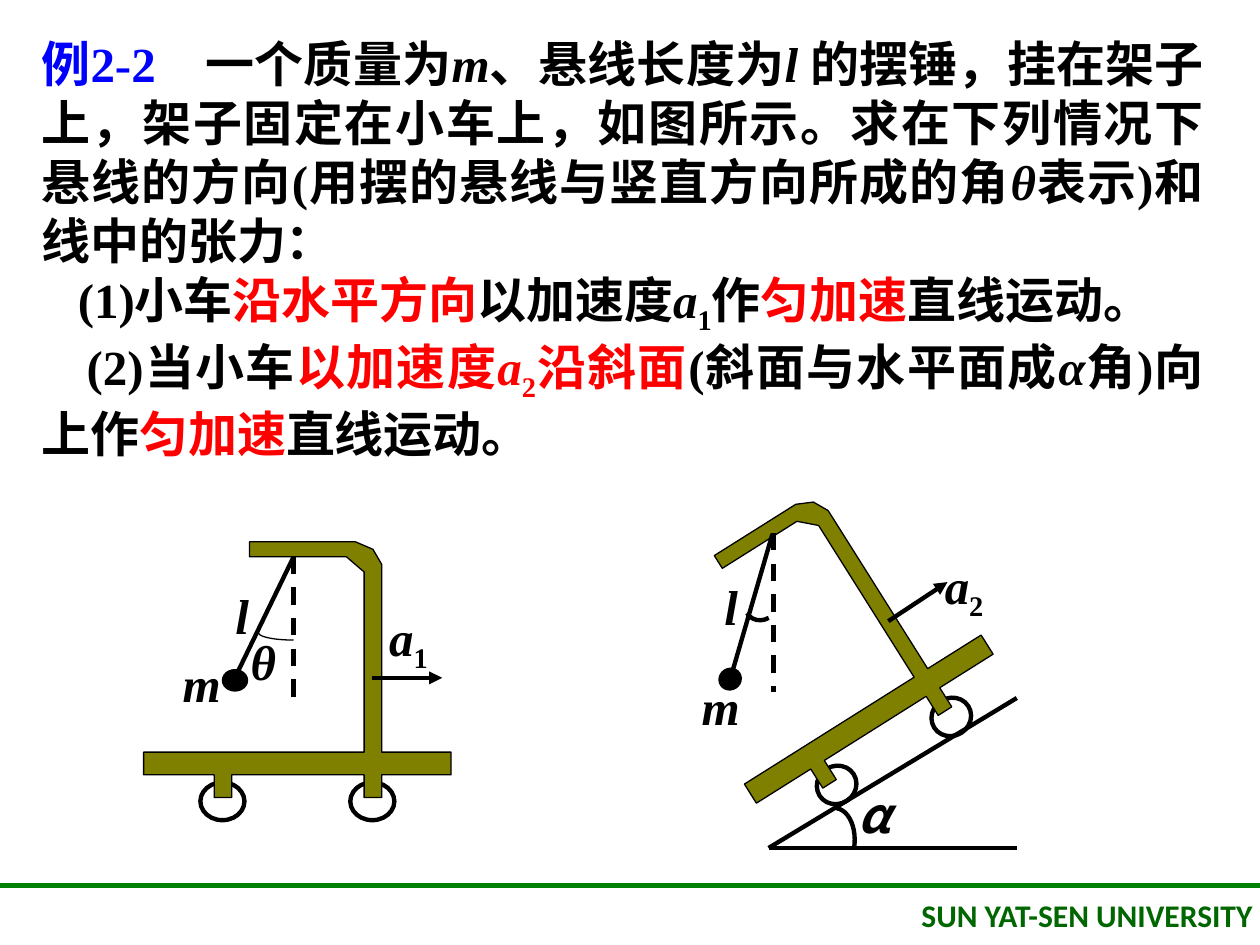
from dataclasses import dataclass

from lxml import etree
from pptx import Presentation
from pptx.dml.color import RGBColor
from pptx.enum.dml import MSO_LINE
from pptx.enum.shapes import MSO_CONNECTOR, MSO_SHAPE
from pptx.enum.text import MSO_AUTO_SIZE, PP_ALIGN
from pptx.oxml.ns import qn
from pptx.util import Inches, Pt

STRAIGHT = MSO_CONNECTOR.STRAIGHT
OVAL, ARC = MSO_SHAPE.OVAL, MSO_SHAPE.ARC
DASH = MSO_LINE.DASH
FIT = MSO_AUTO_SIZE.SHAPE_TO_FIT_TEXT
LEFT, RIGHT, JUSTIFY = PP_ALIGN.LEFT, PP_ALIGN.RIGHT, PP_ALIGN.JUSTIFY


@dataclass(frozen=True)
class Theme:
    black: str = "000000"
    blue: str = "0000FF"
    red: str = "FF0000"
    olive: str = "808000"
    rule: str = "008000"
    footer: str = "006600"
    serif: str = "Times New Roman"
    sans: str = "Calibri"
    chinese: str = "Noto Sans CJK SC"
    body_size: float = 28
    footer_size: float = 18
    thin: float = 0.75
    thick: float = 2.5
    rule_width: float = 3


THEME = Theme()
ITALIC = {"italic": True}
SUBSCRIPT = {"baseline": -25}
RED = {"color": THEME.red}
TILT = -32.2

PROBLEM = [
    (("例2-2", {"color": THEME.blue}), ("\t一个质量为", {}), ("m", ITALIC),
     ("、悬线长度为", {}), ("l ", ITALIC),
     ("的摆锤，挂在架子上，架子固定在小车上，如图所示。"
      "求在下列情况下悬线的方向(用摆的悬线与竖直方向所成的角", {}),
     ("θ", ITALIC), ("表示)和线中的张力：", {})),
    (("(1)小车", {}), ("沿水平方向", RED), ("以加速度", {}), ("a", ITALIC),
     ("1", SUBSCRIPT), ("作", {}), ("匀加速", RED), ("直线运动。", {})),
    (("(2)当小车", {}), ("以加速度", RED), ("a", {**RED, **ITALIC}),
     ("2", {**RED, **SUBSCRIPT}), ("沿斜面", RED), ("(斜面与水平面成", {}),
     ("α", ITALIC), ("角)向上作", {}), ("匀加速", RED), ("直线运动。", {})),
]
PROBLEM_INDENTS = (0, 0.29, 0.36)
PROBLEM_TAB = 1.3

CART_UNIT = Inches(0.01)
CART = [
    (198, 430), (282, 430), (296, 436), (303, 448), (303, 597),
    (358, 597), (358, 615), (303, 615), (303, 633), (289, 633),
    (289, 615), (184, 615), (184, 633), (170, 633), (170, 615),
    (114, 615), (114, 597), (289, 597), (289, 454), (275, 442),
    (198, 442),
]


class SlideWriter:
    def __init__(self, page, theme):
        self.page = page
        self.theme = theme

    def stroke(self, line, width, color=None):
        line.color.rgb = RGBColor.from_string(color or self.theme.black)
        line.width = Pt(width)

    def line(self, start, end, color=None, width=None, dashed=False, arrow=False):
        link = self.page.shapes.add_connector(
            STRAIGHT, *(Inches(value) for value in start + end))
        self.stroke(link.line, width or self.theme.thick, color)
        if dashed:
            link.line.dash_style = DASH
        if arrow:
            outline = link.line._get_or_add_ln()
            etree.SubElement(outline, qn("a:tailEnd"), type="triangle")
        etree.SubElement(link._element.spPr, qn("a:effectLst"))

    def shape(self, kind, place, fill=None, outline=True, rotation=0):
        item = self.page.shapes.add_shape(kind, *map(Inches, place))
        item.shadow.inherit = False
        item.rotation = rotation
        if fill:
            item.fill.solid()
            item.fill.fore_color.rgb = RGBColor.from_string(fill)
        else:
            item.fill.background()
        if outline:
            self.stroke(item.line, self.theme.thick)
        else:
            item.line.fill.background()
        return item

    def arc(self, center, radii, start, end, width, rotation=0):
        (x, y), (across, down) = center, radii
        item = self.shape(ARC, (x - across, y - down, 2 * across, 2 * down),
                          rotation=rotation)
        for index, angle in enumerate((start, end)):
            item.adjustments[index] = angle * 0.6
        self.stroke(item.line, width)

    def cart(self, place, rotation=0):
        builder = self.page.shapes.build_freeform(*CART[0], scale=CART_UNIT)
        builder.add_line_segments(CART[1:], close=True)
        item = builder.convert_to_shape()
        item.left, item.top, item.width, item.height = map(Inches, place)
        item.rotation = rotation
        item.shadow.inherit = False
        item.fill.solid()
        item.fill.fore_color.rgb = RGBColor.from_string(self.theme.olive)
        self.stroke(item.line, self.theme.thin)

    def box(self, place, wrap=False):
        box = self.page.shapes.add_textbox(*map(Inches, place))
        box.text_frame.word_wrap = wrap
        box.text_frame.auto_size = FIT
        return box.text_frame

    def para(self, para, spans, align=LEFT, indent=0, tab=None):
        para.alignment = align
        properties = para._p.get_or_add_pPr()
        if indent:
            properties.set("indent", str(Inches(indent)))
        if tab:
            stops = etree.SubElement(properties, qn("a:tabLst"))
            etree.SubElement(stops, qn("a:tab"), pos=str(Inches(tab)), algn="l")
        for text, style in spans:
            self.span(para, text, **style)

    def span(self, para, text, color=None, font=None, size=None, italic=False,
             baseline=0):
        span = para.add_run()
        span.text = text
        span.font.name = font or self.theme.serif
        span.font.size = Pt(size or self.theme.body_size)
        span.font.bold = True
        span.font.italic = italic
        span.font.color.rgb = RGBColor.from_string(color or self.theme.black)
        properties = span._r.get_or_add_rPr()
        if baseline:
            properties.set("baseline", str(baseline * 1000))
        east_asian = etree.Element(qn("a:ea"), typeface=self.theme.chinese)
        properties.find(qn("a:latin")).addnext(east_asian)

    def label(self, left, top, width, letter, index=None, font=None):
        spans = [(letter, {"italic": True, "font": font})]
        if index:
            spans.append((index, SUBSCRIPT))
        frame = self.box((left, top, width, 0.57))
        self.para(frame.paragraphs[0], spans)


def draw_text(writer):
    writer.line((0, 7.03), (10, 7.03), THEME.rule, THEME.rule_width)
    footer = writer.box((6.34, 7.06, 3.7, 0.4), wrap=True)
    style = {"color": THEME.footer, "font": THEME.sans, "size": THEME.footer_size}
    writer.para(footer.paragraphs[0], [("SUN YAT-SEN UNIVERSITY", style)], RIGHT)

    problem = writer.box((0.23, 0.22, 9.42, 3.37), wrap=True)
    for number, (spans, indent) in enumerate(zip(PROBLEM, PROBLEM_INDENTS)):
        para = problem.add_paragraph() if number else problem.paragraphs[0]
        writer.para(para, spans, JUSTIFY, indent, None if number else PROBLEM_TAB)


def draw_level_cart(writer):
    for left in (2.78, 1.59):
        writer.shape(OVAL, (left, 6.21, 0.35, 0.3))
    writer.cart((1.14, 4.3, 2.44, 2.03))
    writer.line((2.33, 4.42), (1.84, 5.43))
    writer.shape(OVAL, (1.76, 5.31, 0.21, 0.18), THEME.black, outline=False)
    writer.label(1.35, 5.14, 0.42, "m")
    writer.label(1.77, 4.6, 0.31, "l")
    writer.line((2.33, 4.42), (2.33, 5.55), dashed=True)
    writer.arc((2.33, 5.02), (0.28, 0.06), 90, 180, THEME.thin)
    writer.label(1.89, 4.96, 0.4, "θ")
    writer.line((2.95, 5.38), (3.51, 5.38), arrow=True)
    writer.label(2.99, 4.77, 0.53, "a", "1")


def draw_inclined_cart(writer):
    for end in ((8.07, 6.73), (8.07, 5.54)):
        writer.line((6.1, 6.73), end)
    writer.arc((6.59, 6.71), (0.19, 0.3), 270, 0, THEME.thick, rotation=9.2)
    writer.label(6.71, 6.18, 0.45, "α", font=THEME.chinese)
    for left, top in ((7.39, 5.54), (6.48, 6.08)):
        writer.shape(OVAL, (left, top, 0.32, 0.3), rotation=TILT)
    writer.cart((5.39, 4.07, 2.22, 2.02), TILT)
    writer.line((6.13, 4.24), (5.81, 5.34))
    writer.shape(OVAL, (5.7, 5.3, 0.19, 0.18), THEME.black, False, TILT)
    writer.line((6.14, 4.23), (6.14, 5.49), dashed=True)
    writer.arc((6.04, 4.8), (0.12, 0.13), 0, 90, THEME.thick, rotation=59.4)
    writer.label(5.47, 5.32, 0.5, "m")
    writer.label(5.65, 4.53, 0.31, "l")
    writer.line((7.05, 4.93), (7.52, 4.62), arrow=True)
    writer.label(7.4, 4.36, 0.53, "a", "2")


def main():
    deck = Presentation()
    deck.slide_width, deck.slide_height = Inches(10), Inches(7.5)
    page = deck.slides.add_slide(deck.slide_layouts[6])
    writer = SlideWriter(page, THEME)
    draw_text(writer)
    draw_level_cart(writer)
    draw_inclined_cart(writer)
    deck.save("out.pptx")


if __name__ == "__main__":
    main()
